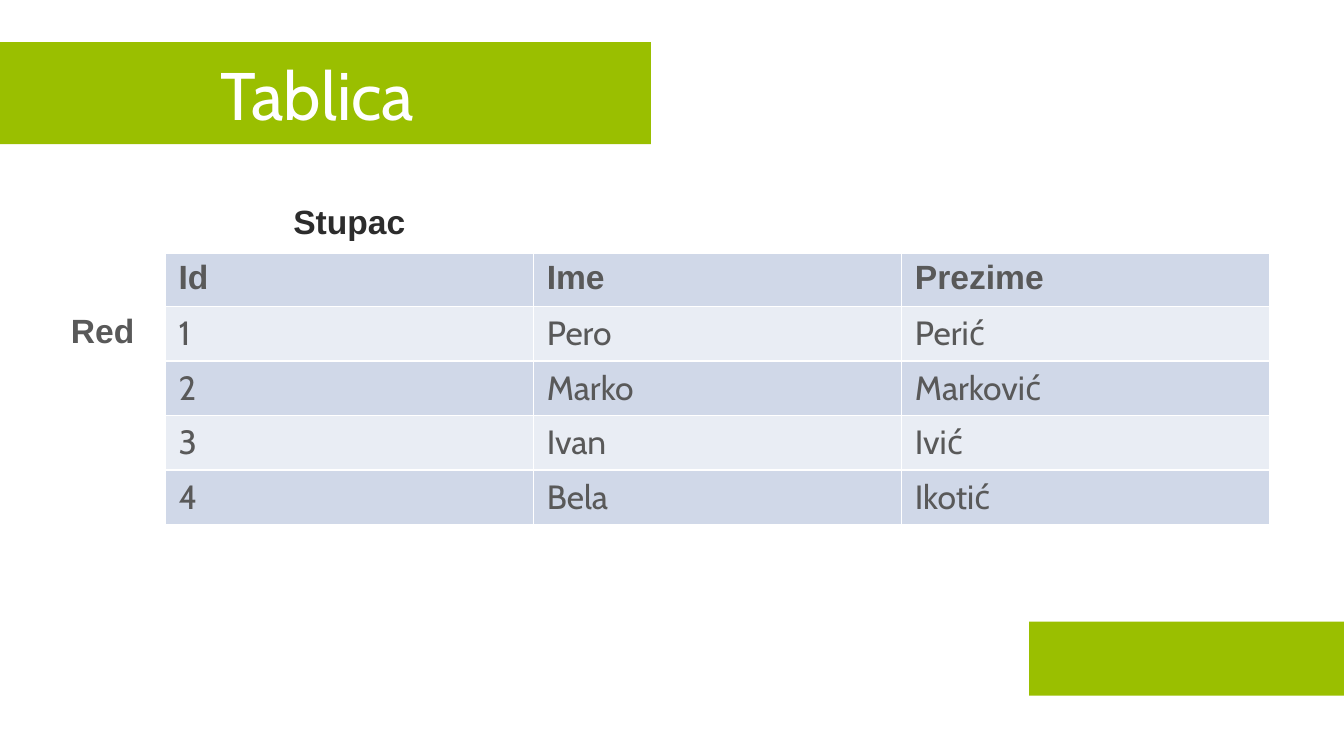
from lxml import etree
from pptx import Presentation
from pptx.dml.color import RGBColor
from pptx.enum.shapes import MSO_SHAPE
from pptx.enum.text import MSO_ANCHOR, MSO_AUTO_SIZE, PP_ALIGN
from pptx.oxml.ns import qn
from pptx.util import Pt

PX = 9525
RECTANGLE = MSO_SHAPE.RECTANGLE
MIDDLE = MSO_ANCHOR.MIDDLE
NO_AUTOFIT = MSO_AUTO_SIZE.NONE
CENTER = PP_ALIGN.CENTER
LEFT = PP_ALIGN.LEFT

GREEN = RGBColor(0x9A, 0xBF, 0x00)
WHITE = RGBColor(0xFF, 0xFF, 0xFF)
DARK = RGBColor(0x2C, 0x2C, 0x2C)
GRAY = RGBColor(0x59, 0x59, 0x59)
BLUE_BAND = RGBColor(0xD0, 0xD8, 0xE8)
PALE_BAND = RGBColor(0xE9, 0xED, 0xF4)

RECORDS = [
    ["", "Stupac", "", ""],
    ["", "Id", "Ime", "Prezime"],
    ["Red", "1", "Pero", "Perić"],
    ["", "2", "Marko", "Marković"],
    ["", "3", "Ivan", "Ivić"],
    ["", "4", "Bela", "Ikotić"],
]
COLUMN_WIDTHS = [77, 263, 263, 263]
ROW_HEIGHT = 39


class SlideBuilder:
    heading_font = "Arial"
    body_font = "Cabin"

    def __init__(self, slide):
        self.slide = slide

    def style(self, paragraph, font, size, color, bold=False, align=LEFT):
        paragraph.alignment = align
        paragraph.font.name = font
        paragraph.font.size = Pt(size)
        paragraph.font.bold = bold
        paragraph.font.color.rgb = color

    def bar(self, left, top, width, height):
        bar = self.slide.shapes.add_shape(
            RECTANGLE, left * PX, top * PX, width * PX, height * PX)
        bar.shadow.inherit = False
        bar.fill.solid()
        bar.fill.fore_color.rgb = GREEN
        bar.line.fill.background()
        self.slide.shapes.title.element.addprevious(bar.element)

    def title(self, text, left, top, width, height):
        title = self.slide.shapes.title
        title.left, title.top = left * PX, top * PX
        title.width, title.height = width * PX, height * PX
        frame = title.text_frame
        frame.text = text
        frame.auto_size = NO_AUTOFIT
        frame.vertical_anchor = MIDDLE
        frame.margin_left = frame.margin_right = 0
        frame.margin_top = frame.margin_bottom = 0
        self.style(frame.paragraphs[0], self.body_font, 36, WHITE, align=CENTER)

    def borders(self, cell, top, bottom):
        properties = cell._tc.get_or_add_tcPr()
        for side, points in (("L", 1), ("R", 1), ("T", top), ("B", bottom)):
            line = etree.SubElement(properties, qn(f"a:ln{side}"), w=str(Pt(points)))
            fill = etree.SubElement(line, qn("a:solidFill"))
            etree.SubElement(fill, qn("a:srgbClr"), val=str(WHITE))

    def cell(self, cell, text, row, column):
        cell.text = text
        caption = row == 0
        heading = row < 2 or column == 0
        self.style(
            cell.text_frame.paragraphs[0],
            self.heading_font if heading else self.body_font,
            18,
            DARK if caption else GRAY,
            bold=heading,
            align=CENTER if caption else LEFT,
        )
        self.borders(cell, 3 if row == 1 else 1, 3 if caption else 1)
        if caption or column == 0:
            cell.fill.background()
        else:
            cell.fill.solid()
            cell.fill.fore_color.rgb = BLUE_BAND if row % 2 else PALE_BAND

    def table(self, records, left, top, widths, row_height):
        table = self.slide.shapes.add_table(
            len(records), len(widths), left * PX, top * PX,
            sum(widths) * PX, row_height * len(records) * PX).table
        table.first_row = False
        table.horz_banding = False
        for column, width in zip(table.columns, widths):
            column.width = width * PX
        for row, record in enumerate(records):
            table.rows[row].height = row_height * PX
            for column, text in enumerate(record):
                self.cell(table.cell(row, column), text, row, column)


def main():
    presentation = Presentation()
    presentation.slide_width = 960 * PX
    presentation.slide_height = 540 * PX
    slide = presentation.slides.add_slide(presentation.slide_layouts[5])
    builder = SlideBuilder(slide)
    builder.bar(735, 444, 225, 53)
    builder.bar(0, 30, 465, 73)
    builder.title("Tablica", 0, 49, 453, 36)
    builder.table(RECORDS, 41, 141, COLUMN_WIDTHS, ROW_HEIGHT)
    presentation.save("out.pptx")


if __name__ == "__main__":
    main()
